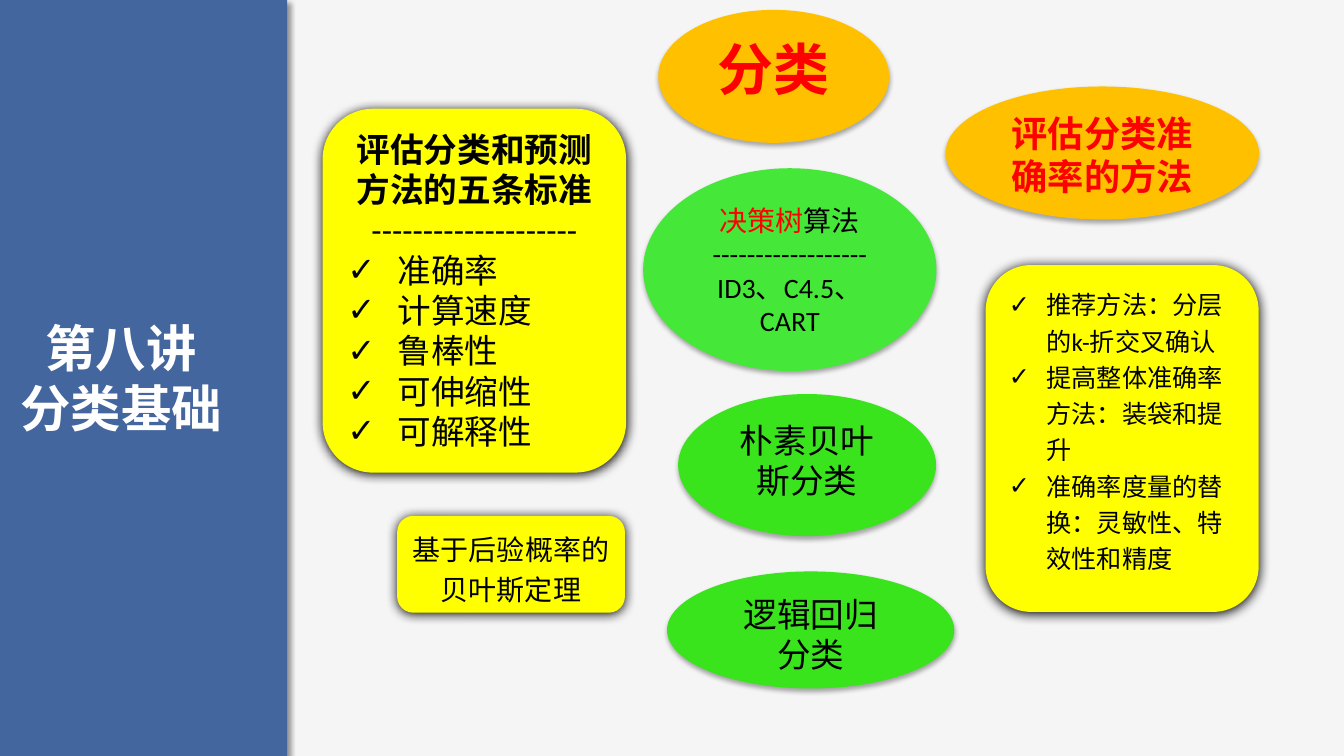
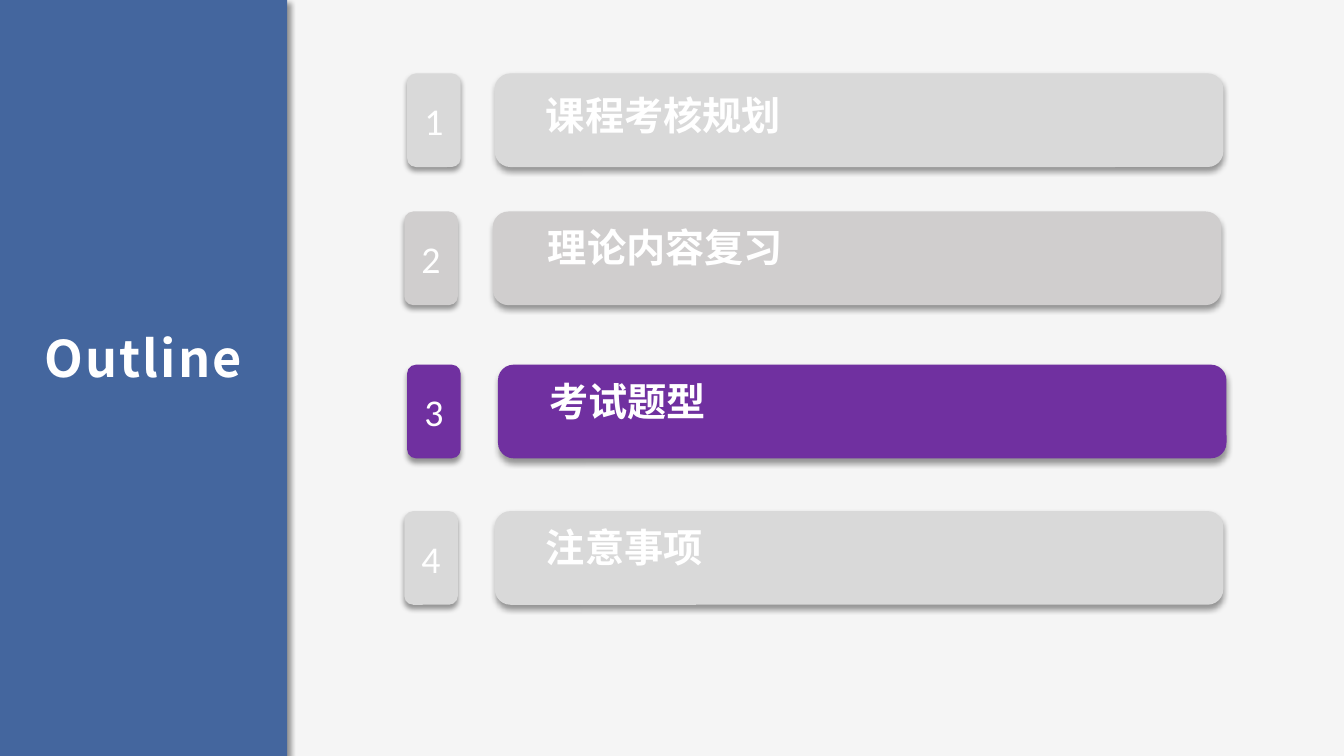
import pptx
import pptx.util
import pptx.dml.color
import pptx.enum.lang
import pptx.enum.shapes
import pptx.enum.text
import pptx.oxml
import pptx.oxml.ns
from dataclasses import dataclass

Cm, Pt = pptx.util.Cm, pptx.util.Pt
Kind = pptx.enum.shapes.MSO_SHAPE
Align = pptx.enum.text.PP_ALIGN
Anchor = pptx.enum.text.MSO_ANCHOR
Fit = pptx.enum.text.MSO_AUTO_SIZE
CHINESE = pptx.enum.lang.MSO_LANGUAGE_ID.SIMPLIFIED_CHINESE
qn = pptx.oxml.ns.qn


@dataclass(frozen=True)
class Theme:
    # Colours
    page: str = "F5F5F5"
    panel: str = "44669E"
    white: str = "FFFFFF"
    black: str = "000000"
    red: str = "FF0000"
    green: str = "39E41C"
    lime: str = "45E739"
    gold: str = "FFC000"
    yellow: str = "FFFF00"
    grey: str = "D9D9D9"
    stone: str = "D0CECE"
    purple: str = "7030A0"
    # Fonts
    body: str = "Calibri"
    head: str = "Arial"
    label: str = "Noto Sans CJK SC"
    # Type sizes
    topic: float = 40
    title: float = 36
    bar: float = 28
    digit: float = 27
    method: float = 25.9
    large: float = 24
    small: float = 20
    point: float = 18


T = Theme()

# Shadows: alpha %, blur pt, distance pt, angle
SIDE = (40, 4, 3, 45)
DROP = (40, 4, 3, 90)
SOFT = (32, 3.5, 2.2, 90)
GLOW = (100, 8.5, 1, 90)

FRAME = dict(word_wrap=True, auto_size=Fit.NONE, vertical_anchor=Anchor.TOP,
             margin_left=Cm(0.25), margin_right=Cm(0.25),
             margin_top=Cm(0.13), margin_bottom=Cm(0.13))
CENTRE = dict(alignment=Align.CENTER, line_spacing=1.0)
LEFT = dict(alignment=Align.LEFT, line_spacing=1.0)
OPEN = dict(line_spacing=1.2)


def put(item, values):
    for name, value in values.items():
        setattr(item, name, value)


def rgb(code):
    return pptx.dml.color.RGBColor.from_string(code)


def face(size, tint=T.black, name=T.body, bold=False):
    return dict(size=size, tint=tint, name=name, bold=bold)


def style(font, size, tint, name, bold):
    put(font, dict(size=Pt(size), name=name, bold=bold, language_id=CHINESE))
    font.color.rgb = rgb(tint)


# Text: a line is (paragraph format, indent of a tick or 0, runs);
# a run is (words, changes to the face)
def centred(words, **change):
    return CENTRE, 0, [(words, change)]


def ticked(words, indent, **form):
    return LEFT | form, indent, [(words, {})]


def tick(para, indent):
    props = para._p.get_or_add_pPr()
    props.set("marL", str(Cm(indent)))
    props.set("indent", str(-Cm(indent)))
    for tag, key, value in (("buFont", "typeface", "Arial"),
                            ("buChar", "char", "✓")):
        pptx.oxml.ns.qn(f"a:{tag}")
        props.append(props.makeelement(qn(f"a:{tag}"), {key: value}))


def write(shape, look, lines, **frame):
    text = shape.text_frame
    put(text, FRAME | frame)
    for index, (form, indent, runs) in enumerate(lines):
        para = text.add_paragraph() if index else text.paragraphs[0]
        put(para, form)
        if indent:
            tick(para, indent)
        for words, change in runs:
            run = para.add_run()
            run.text = words
            style(run.font, **(look | change))


# Shapes
def shade(shape, alpha, blur, dist, angle):
    effects = shape._element.spPr.find(qn("a:effectLst"))
    effects.append(pptx.oxml.parse_xml(
        f'<a:outerShdw {pptx.oxml.ns.nsdecls("a")} blurRad="{Pt(blur)}" '
        f'dist="{Pt(dist)}" dir="{angle * 60000}" algn="ctr" '
        f'rotWithShape="0"><a:srgbClr val="000000">'
        f'<a:alpha val="{alpha * 1000}"/></a:srgbClr></a:outerShdw>'))


def draw(shapes, kind, box, fill, shadow=None):
    shape = shapes.add_shape(kind, *map(Cm, box))
    shape.fill.solid()
    shape.fill.fore_color.rgb = rgb(fill)
    shape.line.fill.background()
    shape.shadow.inherit = False
    if shadow:
        shade(shape, *shadow)
    return shape


def oval(slide, box, fill, look, *lines):
    write(draw(slide.shapes, Kind.OVAL, box, fill, SOFT), look, lines)


def card(slide, box, look, *lines):
    shape = draw(slide.shapes, Kind.ROUNDED_RECTANGLE, box, T.yellow, GLOW)
    write(shape, look, lines)


def row(slide, digit, words, fill, top, lefts, drop, width):
    nub, bar, label = lefts
    box = draw(slide.shapes, Kind.ROUNDED_RECTANGLE, (nub, top, 1.35, 2.36),
               fill, DROP)
    write(box, face(T.digit, T.white), [centred(str(digit))],
          vertical_anchor=Anchor.MIDDLE)
    group = slide.shapes.add_group_shape().shapes
    draw(group, Kind.ROUNDED_RECTANGLE, (bar, top, 18.36, 2.36), fill, DROP)
    plate = draw(group, Kind.RECTANGLE, (label, top + drop, width, 1.8), fill)
    write(plate, face(T.bar, T.white, T.label, True), [(LEFT, 0, [(words, {})])])


# Side panel and title shared by the slides
def start(deck, box, lines, font, space=0):
    slide = deck.slides.add_slide(deck.slide_layouts[5])
    draw(slide.shapes, Kind.RECTANGLE, (0, 0, 7.24, 19.05), T.panel, SIDE)
    title = slide.shapes.title
    slide.shapes._spTree.append(title._element)
    put(title, dict(zip(("left", "top", "width", "height"), map(Cm, box))))
    write(title, face(T.title, T.white, font, True), map(centred, lines))
    if space:
        for run in title.text_frame.paragraphs[0].runs:
            run.font._element.set("spc", str(space))
    return slide


def lesson(deck):
    slide = start(deck, (0.13, 7.85, 5.84, 3.33), ["第八讲", "分类基础"], T.head)
    # Topics and methods
    oval(slide, (17.09, 9.93, 6.5, 3.58), T.green, face(T.large),
         centred("朴素贝叶斯分类"))
    oval(slide, (16.81, 14.4, 7.24, 2.95), T.green, face(T.large),
         centred("逻辑回归"), centred("分类"))
    oval(slide, (23.83, 2.18, 7.9, 3.35), T.gold,
         face(T.method, T.red, bold=True), centred("评估分类准确率的方法"))
    oval(slide, (16.21, 4.24, 7.39, 5.11), T.lime, face(T.small),
         (CENTRE, 0, [("决策树", dict(tint=T.red)), ("算法", {})]),
         centred("-" * 18), centred("ID3、C4.5、CART"))
    oval(slide, (16.59, 0.25, 5.82, 3.35), T.gold,
         face(T.topic, T.red, bold=True), centred("分类"))
    # Notes beside them
    card(slide, (10.01, 13, 5.74, 2.44), face(T.small),
         (CENTRE | OPEN, 0, [("基于后验概率的贝叶斯定理", {})]))
    marks = ["准确率", "计算速度", "鲁棒性", "可伸缩性", "可解释性"]
    card(slide, (8.13, 2.74, 7.65, 9.17), face(T.large),
         centred("评估分类和预测方法的五条标准", bold=True), centred("-" * 20),
         *[ticked(mark, 1.27) for mark in marks])
    tips = ["推荐方法：分层的k-折交叉确认", "提高整体准确率方法：装袋和提升",
            "准确率度量的替换：灵敏性、特效性和精度"]
    card(slide, (24.84, 6.68, 6.88, 8.74), face(T.point),
         *[ticked(tip, 0.95, **OPEN) for tip in tips])


def outline(deck):
    slide = start(deck, (0.69, 8.1, 5.84, 1.8), ["Outline"], T.label, 150)
    # Words, fill, top, lefts of number, bar and label, label drop and width
    rows = [
        ("课程考核规划", T.grey, 1.85, (10.26, 12.47, 13.51), 0.33, 13),
        ("理论内容复习", T.stone, 5.33, (10.19, 12.42, 13.56), 0.18, 16.64),
        ("考试题型", T.purple, 9.19, (10.26, 12.55, 13.59), 0.18, 16.64),
        ("注意事项", T.grey, 12.88, (10.19, 12.47, 13.51), 0.18, 16.64),
    ]
    for digit, parts in enumerate(rows, 1):
        row(slide, digit, *parts)


def main():
    deck = pptx.Presentation()
    put(deck, dict(slide_width=Cm(33.87), slide_height=Cm(19.05)))
    back = deck.slide_master.background.fill
    back.solid()
    back.fore_color.rgb = rgb(T.page)
    lesson(deck)
    outline(deck)
    deck.save("out.pptx")


if __name__ == "__main__":
    main()
